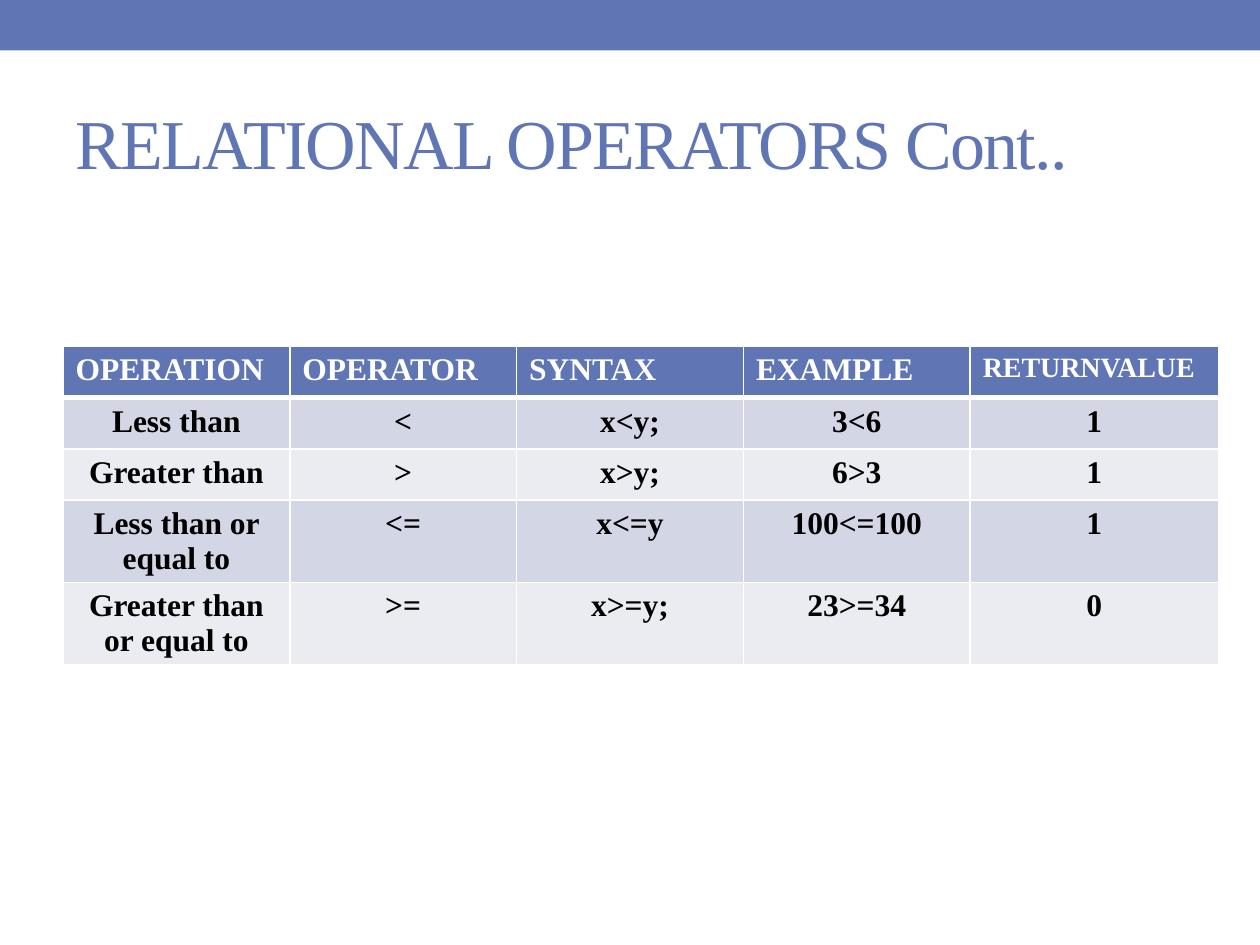
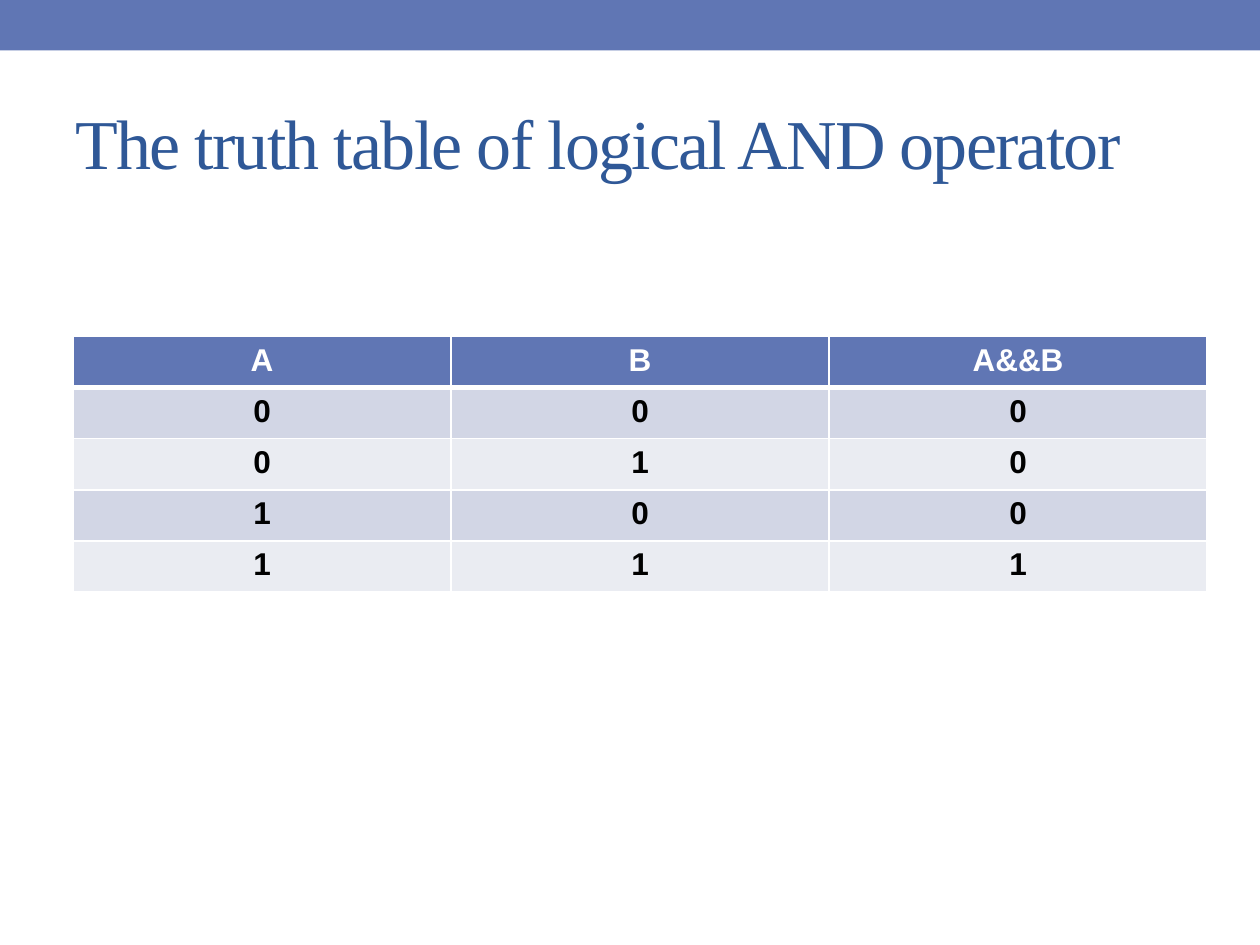
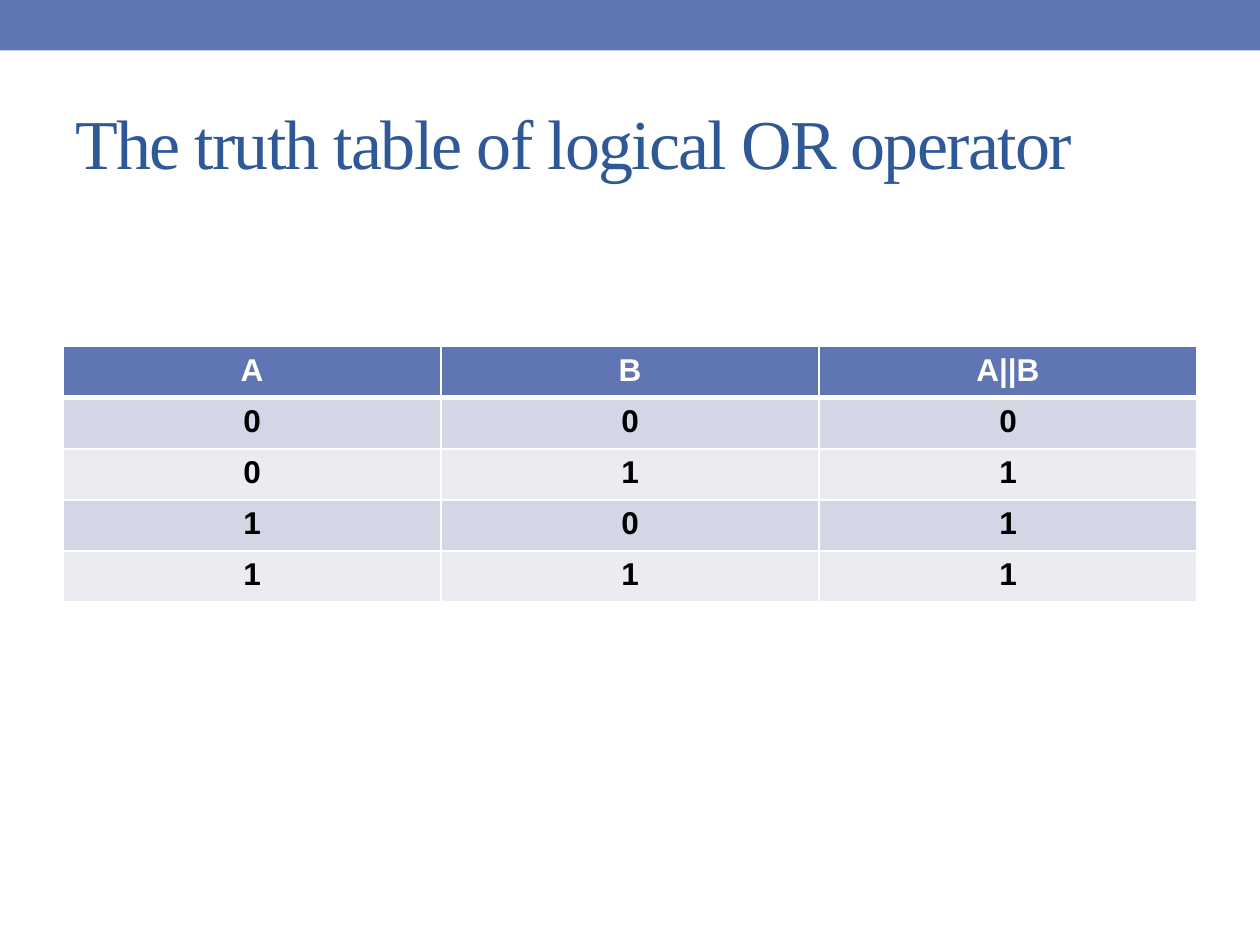
from lxml import etree
from pptx import Presentation
from pptx.dml.color import RGBColor
from pptx.enum.shapes import MSO_SHAPE
from pptx.enum.text import MSO_ANCHOR, MSO_AUTO_SIZE, PP_ALIGN
from pptx.oxml.ns import qn
from pptx.util import Inches, Pt

RECT = MSO_SHAPE.RECTANGLE
MIDDLE = MSO_ANCHOR.MIDDLE
NO_FIT = MSO_AUTO_SIZE.NONE
LEFT, CENTER = PP_ALIGN.LEFT, PP_ALIGN.CENTER

BLUE = RGBColor(0x60, 0x76, 0xB4)
NAVY = RGBColor(0x2F, 0x58, 0x97)
WHITE = RGBColor(0xFF, 0xFF, 0xFF)
BLACK = RGBColor(0, 0, 0)
BANDS = (RGBColor(0xEA, 0xEC, 0xF2), RGBColor(0xD2, 0xD6, 0xE5))

SERIF, SANS = "Times New Roman", "Arial"
WIDE = Inches(10)
TITLE_FONT = {"name": SERIF, "size": Pt(40), "bold": False}
TITLE_BOX = {"left": Inches(0.5), "top": Inches(0.58),
             "width": Inches(9), "height": Inches(1.08)}
TITLE_FRAME = {"vertical_anchor": MIDDLE, "auto_size": NO_FIT,
               "word_wrap": True}
GRID_HIGH = 2.03

RELATION = [
    ("OPERATION", "OPERATOR", "SYNTAX", "EXAMPLE", "RETURNVALUE"),
    ("Less than", "<", "x<y;", "3<6", "1"),
    ("Greater than", ">", "x>y;", "6>3", "1"),
    ("Less than or equal to", "<=", "x<=y", "100<=100", "1"),
    ("Greater than or equal to", ">=", "x>=y;", "23>=34", "0"),
]


def assign(target, values):
    """Set each attribute named in values on target."""
    for name, value in values.items():
        setattr(target, name, value)


def add_band(slide):
    """Draw the band along the top edge."""
    band = slide.shapes.add_shape(RECT, 0, 0, WIDE, Inches(0.4))
    band.shadow.inherit = False
    band.fill.solid()
    band.fill.fore_color.rgb = BLUE
    band.line.fill.background()


def add_title(slide, text, color):
    """Place, fill and format the title placeholder."""
    title = slide.shapes.title
    assign(title, TITLE_BOX)
    frame = title.text_frame
    frame.text = text
    assign(frame, TITLE_FRAME)
    para = frame.paragraphs[0]
    para.alignment = LEFT
    run = para.runs[0]
    assign(run.font, TITLE_FONT)
    run.font.color.rgb = color
    run._r.get_or_add_rPr().set("spc", "-100")


def add_slide(deck, text, color):
    """Add a slide with the shared band and title."""
    slide = deck.slides.add_slide(deck.slide_layouts[5])
    add_band(slide)
    add_title(slide, text, color)
    return slide


def add_edges(cell, row):
    """Draw white cell borders, thick between header and body."""
    props = cell._tc.get_or_add_tcPr()
    thick = {(0, "lnB"), (1, "lnT")}
    for index, tag in enumerate(("lnL", "lnR", "lnT", "lnB")):
        width = Pt(3 if (row, tag) in thick else 1)
        line = etree.Element(qn(f"a:{tag}"), w=str(width))
        fill = etree.SubElement(line, qn("a:solidFill"))
        etree.SubElement(fill, qn("a:srgbClr"), val=str(WHITE))
        props.insert(index, line)


def fill_cell(cell, text, row, font, align):
    """Write one cell with its fill, font and borders."""
    cell.text = text
    cell.fill.solid()
    cell.fill.fore_color.rgb = BANDS[row % 2] if row else BLUE
    para = cell.text_frame.paragraphs[0]
    para.alignment = align
    run = para.runs[0]
    assign(run.font, font)
    run.font.color.rgb = BLACK if row else WHITE
    add_edges(cell, row)


def add_grid(slide, rows, spot, widths, face, head=CENTER):
    """Add a banded table and return it."""
    left, top = spot
    table = slide.shapes.add_table(
        len(rows), len(widths), Inches(left), Inches(top),
        Inches(sum(widths)), Inches(GRID_HIGH)).table
    for column, width in zip(table.columns, widths):
        column.width = Inches(width)
    font = {"name": face, "size": Pt(18), "bold": True}
    for row, texts in enumerate(rows):
        table.rows[row].height = Inches(GRID_HIGH / len(rows))
        for col, text in enumerate(texts):
            fill_cell(table.cell(row, col), text, row, font,
                      CENTER if row else head)
    return table


def truth_rows(sign, rule):
    """Work out the truth table of a two-way logical operator."""
    pairs = [(a, b) for a in (0, 1) for b in (0, 1)]
    body = [(str(a), str(b), str(rule(a, b))) for a, b in pairs]
    return [("A", "B", f"A{sign}B")] + body


def add_truth(deck, name, sign, rule, spot):
    """Build a slide that shows one truth table."""
    slide = add_slide(
        deck, f"The truth table of logical {name} operator", NAVY)
    add_grid(slide, truth_rows(sign, rule), spot, [3] * 3, SANS)


def add_relation(deck):
    """Build the slide that lists the relational operators."""
    slide = add_slide(deck, "RELATIONAL OPERATORS Cont..", BLUE)
    table = add_grid(slide, RELATION, (0.5, 2.75), [1.8] * 4 + [1.97],
                     SERIF, LEFT)
    last = table.cell(0, 4).text_frame.paragraphs[0].runs[0]
    last.font.size = Pt(16)


def main():
    """Build and save the deck."""
    deck = Presentation()
    assign(deck, {"slide_width": WIDE, "slide_height": Inches(7.5)})
    add_relation(deck)
    add_truth(deck, "AND", "&&", min, (0.58, 2.67))
    add_truth(deck, "OR", "||", max, (0.5, 2.75))
    deck.save("out.pptx")


main()
